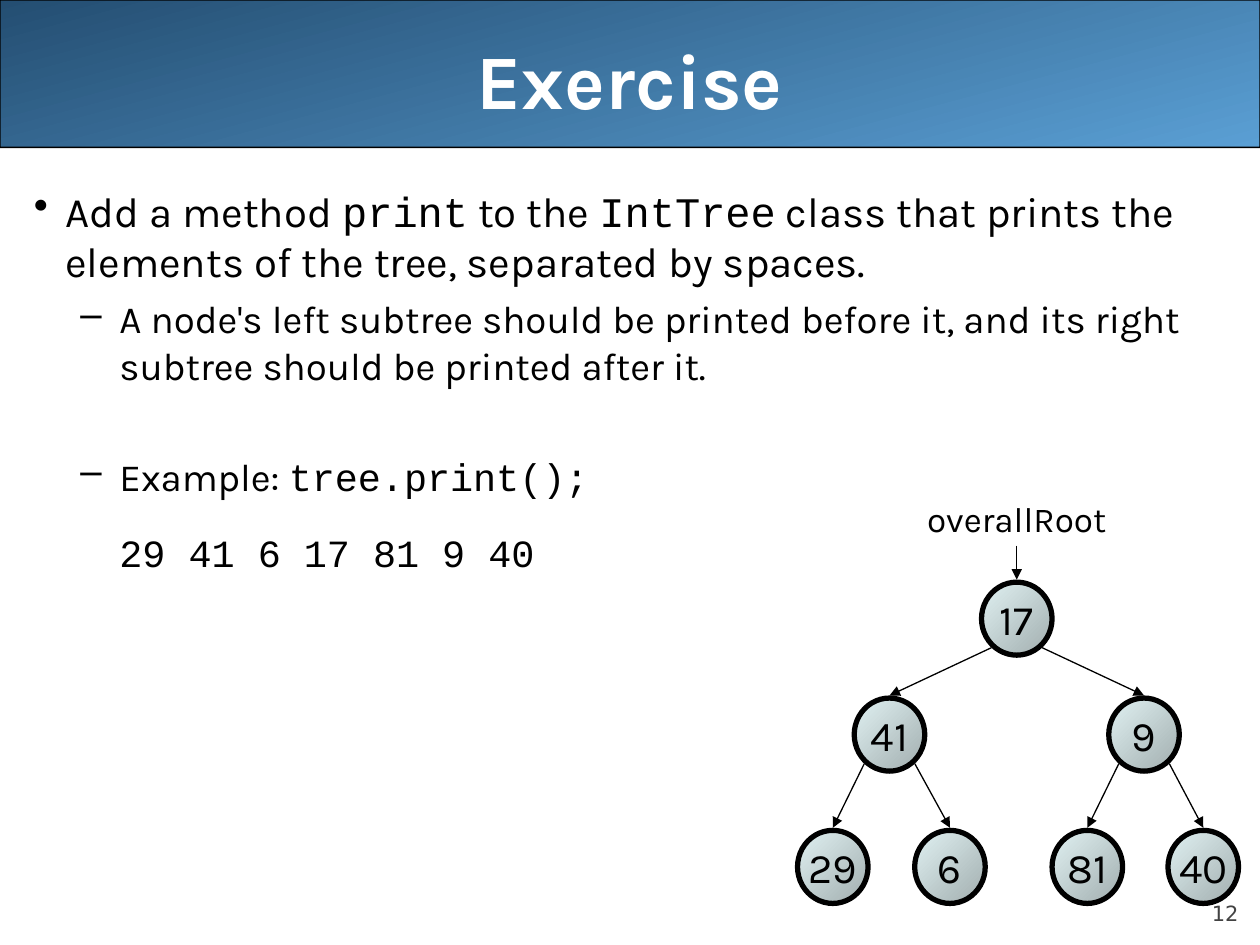
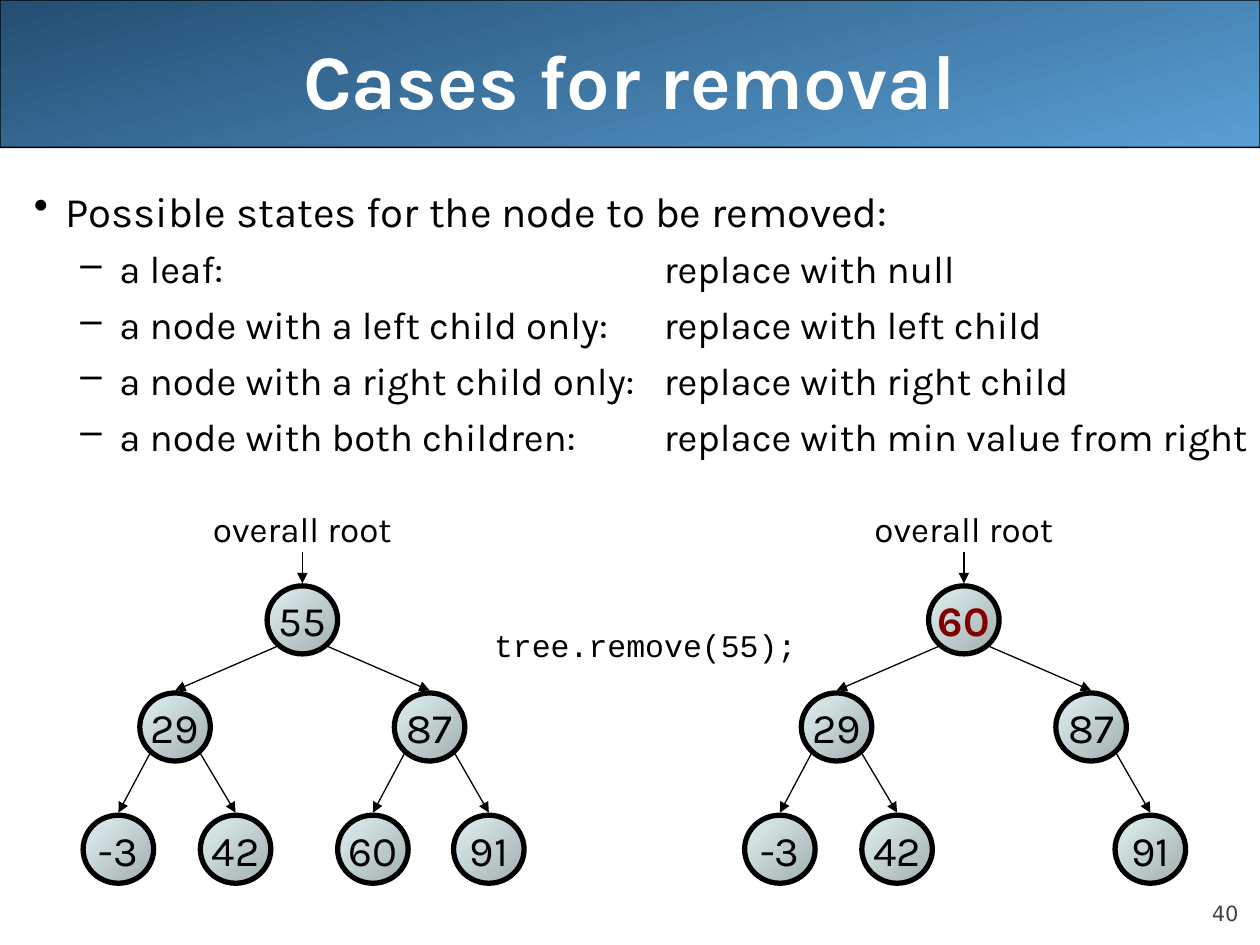
from dataclasses import dataclass

from lxml import etree
from pptx import Presentation
from pptx.dml.color import RGBColor
from pptx.enum.shapes import MSO_CONNECTOR, MSO_SHAPE
from pptx.enum.text import MSO_ANCHOR, PP_ALIGN
from pptx.oxml.ns import qn
from pptx.util import Inches, Pt

BLACK = RGBColor(0x00, 0x00, 0x00)
WHITE = RGBColor(0xFF, 0xFF, 0xFF)
GREY = RGBColor(0x42, 0x42, 0x42)
DARK_RED = RGBColor(0x80, 0x00, 0x00)
BAND_DARK = RGBColor(0x24, 0x4E, 0x72)
BAND_LIGHT = RGBColor(0x5A, 0x9F, 0xD4)
NODE_DARK = RGBColor(0xA1, 0xAD, 0xAE)
NODE_LIGHT = RGBColor(0xE1, 0xF2, 0xF3)

TEXT_FONT = "Karla"
CODE_FONT = "Courier New"
NUMBER_FONT = "DejaVu Sans"

LEFT, CENTER, RIGHT = PP_ALIGN.LEFT, PP_ALIGN.CENTER, PP_ALIGN.RIGHT
TOP, MIDDLE, BOTTOM = MSO_ANCHOR.TOP, MSO_ANCHOR.MIDDLE, MSO_ANCHOR.BOTTOM
OVAL, ROUNDED = MSO_SHAPE.OVAL, MSO_SHAPE.ROUNDED_RECTANGLE
STRAIGHT = MSO_CONNECTOR.STRAIGHT

NODE_WIDTH = 0.56
# Horizontal centre and level of each node, in heap order, relative to the root
NODE_PLACES = [(0, 0), (-1.01, 1), (1.01, 1),
               (-1.46, 2), (-0.53, 2), (0.56, 2), (1.48, 2)]
EDGE_SPREAD = 0.2
EDGE_RISE = 0.06
ARROW_GAP = 0.02


@dataclass
class Style:
    size: float
    font: str = TEXT_FONT
    color: RGBColor = BLACK
    bold: bool = False


@dataclass
class Level:
    size: float
    margin: float
    hanging: float
    bullet: str


@dataclass
class Line:
    """A body paragraph; the words between backticks are set as code."""
    text: str
    level: Level
    space_before: float = 5.5


@dataclass
class Tree:
    label: str
    label_top: float
    arrow_top: float
    center: float
    level_tops: tuple[float, ...]
    node_height: float
    values: list[str | None]
    root_style: Style


TITLE = Style(44, color=WHITE, bold=True)
PAGE_NUMBER = Style(12, NUMBER_FONT, GREY)
NODE = Style(24)
CHANGED_NODE = Style(24, color=DARK_RED, bold=True)
LABEL = Style(20)
CALL = Style(18, CODE_FONT)

POINT = Level(24, 0.25, -0.25, "•")
SUBPOINT = Level(22, 0.68, -0.31, "–")
OUTPUT = Level(22, 0.68, 0, "")


def apply_style(font, style: Style) -> None:
    font.name = style.font
    font.size = Pt(style.size)
    font.bold = style.bold
    font.color.rgb = style.color


def write(shape, text: str, style: Style, align, anchor, wrap: bool) -> None:
    frame = shape.text_frame
    frame.text = text
    frame.word_wrap = wrap
    frame.vertical_anchor = anchor
    para = frame.paragraphs[0]
    para.alignment = align
    apply_style(para.runs[0].font, style)


def add_text(page, left: float, top: float, width: float, height: float, text: str,
             style: Style, align=CENTER, anchor=TOP, wrap: bool = False):
    box = page.shapes.add_textbox(Inches(left), Inches(top), Inches(width), Inches(height))
    write(box, text, style, align, anchor, wrap)
    return box


def add_gradient_shape(page, kind, left: float, top: float, width: float, height: float,
                       colors: tuple[RGBColor, RGBColor], angle: float, line: float):
    shape = page.shapes.add_shape(kind, Inches(left), Inches(top),
                                  Inches(width), Inches(height))
    shape.shadow.inherit = False
    shape.fill.gradient()
    shape.fill.gradient_angle = angle
    for stop, position, color in zip(shape.fill.gradient_stops, (0, 1), colors):
        stop.position = position
        stop.color.rgb = color
    shape.line.color.rgb = BLACK
    shape.line.width = Pt(line)
    return shape


def add_arrow(page, x1: float, y1: float, x2: float, y2: float) -> None:
    arrow = page.shapes.add_connector(STRAIGHT, Inches(x1), Inches(y1),
                                      Inches(x2), Inches(y2))
    arrow.line.color.rgb = BLACK
    arrow.line.width = Pt(0.75)
    etree.SubElement(arrow.line._get_or_add_ln(), qn("a:tailEnd"), type="triangle")
    etree.SubElement(arrow._element.spPr, qn("a:effectLst"))


def set_paragraph_layout(para, level: Level, tabs: range) -> None:
    """Add indents, bullet and tab stops (in inches) to a paragraph."""
    properties = para._p.get_or_add_pPr()
    properties.set("marL", str(Inches(level.margin)))
    properties.set("indent", str(Inches(level.hanging)))
    if level.bullet:
        color = etree.SubElement(properties, qn("a:buClr"))
        etree.SubElement(color, qn("a:srgbClr"), val=str(BLACK))
        etree.SubElement(properties, qn("a:buChar"), char=level.bullet)
    else:
        etree.SubElement(properties, qn("a:buNone"))
    stops = etree.SubElement(properties, qn("a:tabLst"))
    for tab in tabs:
        etree.SubElement(stops, qn("a:tab"), pos=str(Inches(tab)), algn="l")


def add_body(page, lines: list[Line], tabs: range) -> None:
    box = page.shapes.add_textbox(Inches(0.17), Inches(1.42), Inches(9.83), Inches(5.67))
    frame = box.text_frame
    frame.word_wrap = True
    for index, line in enumerate(lines):
        para = frame.add_paragraph() if index else frame.paragraphs[0]
        set_paragraph_layout(para, line.level, tabs)
        para.alignment = LEFT
        if index:
            para.space_before = Pt(line.space_before)
        for part, words in enumerate(line.text.split("`")):
            if words:
                span = para.add_run()
                span.text = words
                font = CODE_FONT if part % 2 else TEXT_FONT
                apply_style(span.font, Style(line.level.size, font))


def add_tree(page, tree: Tree) -> None:
    places = [(tree.center + offset, tree.level_tops[level])
              for offset, level in NODE_PLACES]
    for index, (value, (x, top)) in enumerate(zip(tree.values, places)):
        if value is None:
            continue
        node = add_gradient_shape(page, OVAL, x - NODE_WIDTH / 2, top, NODE_WIDTH,
                                  tree.node_height, (NODE_DARK, NODE_LIGHT), 135, 3)
        write(node, value, NODE if index else tree.root_style, CENTER, MIDDLE, False)
        if index:
            parent_x, parent_top = places[(index - 1) // 2]
            start_x = parent_x + (EDGE_SPREAD if x > parent_x else -EDGE_SPREAD)
            start_y = parent_top + tree.node_height - EDGE_RISE
        else:
            start_x, start_y = x, tree.arrow_top
        add_arrow(page, start_x, start_y, x, top - ARROW_GAP)
    add_text(page, tree.center - 0.85, tree.label_top, 1.7, 0.44, tree.label, LABEL)


def add_page(deck, title: str, number: str):
    page = deck.slides.add_slide(deck.slide_layouts[6])
    band = add_gradient_shape(page, ROUNDED, 0, 0, 10, 1.17,
                              (BAND_DARK, BAND_LIGHT), 285, 0.75)
    band.adjustments[0] = 0.001
    footer = add_text(page, 9, 6.95, 0.83, 0.4, number, PAGE_NUMBER, RIGHT, BOTTOM, True)
    frame = footer.text_frame
    frame.margin_left = frame.margin_right = frame.margin_top = frame.margin_bottom = 0
    add_text(page, 0.5, 0, 9, 1.25, title, TITLE, CENTER, MIDDLE, True)
    return page


def add_exercise(deck) -> None:
    page = add_page(deck, "Exercise", "12")
    add_body(page, [
        Line("Add a method `print` to the `IntTree` class that prints the elements "
             "of the tree, separated by spaces.", POINT),
        Line("A node's left subtree should be printed before it, and its right "
             "subtree should be printed after it.", SUBPOINT),
        Line("Example: `tree.print();`", SUBPOINT, 37),
        Line("`29 41 6 17 81 9 40`", OUTPUT, 17),
    ], range(1, 9))
    add_tree(page, Tree("overallRoot", 3.9, 4.33, 8.07, (4.62, 5.54, 6.59), 0.58,
                        ["17", "41", "9", "29", "6", "81", "40"], NODE))


def add_removal_cases(deck) -> None:
    page = add_page(deck, "Cases for removal", "40")
    cases = [
        ("a leaf:", "replace with null"),
        ("a node with a left child only:", "replace with left child"),
        ("a node with a right child only:", "replace with right child"),
        ("a node with both children:", "replace with min value from right"),
    ]
    lines = [Line("Possible states for the node to be removed:", POINT)]
    lines += [Line(f"{state}\t{action}", SUBPOINT) for state, action in cases]
    add_body(page, lines, range(5, 12))

    before = ["55", "29", "87", "-3", "42", "60", "91"]
    after = ["60", "29", "87", "-3", "42", None, "91"]
    for center, values, style in ((2.4, before, NODE), (7.65, after, CHANGED_NODE)):
        add_tree(page, Tree("overall root", 3.98, 4.38, center, (4.65, 5.5, 6.47), 0.54,
                            values, style))
    add_text(page, 3.82, 4.92, 2.6, 0.4, "tree.remove(55);", CALL, RIGHT)


def main() -> None:
    deck = Presentation()
    deck.slide_width, deck.slide_height = Inches(10), Inches(7.5)
    add_exercise(deck)
    add_removal_cases(deck)
    deck.save("out.pptx")


if __name__ == "__main__":
    main()
